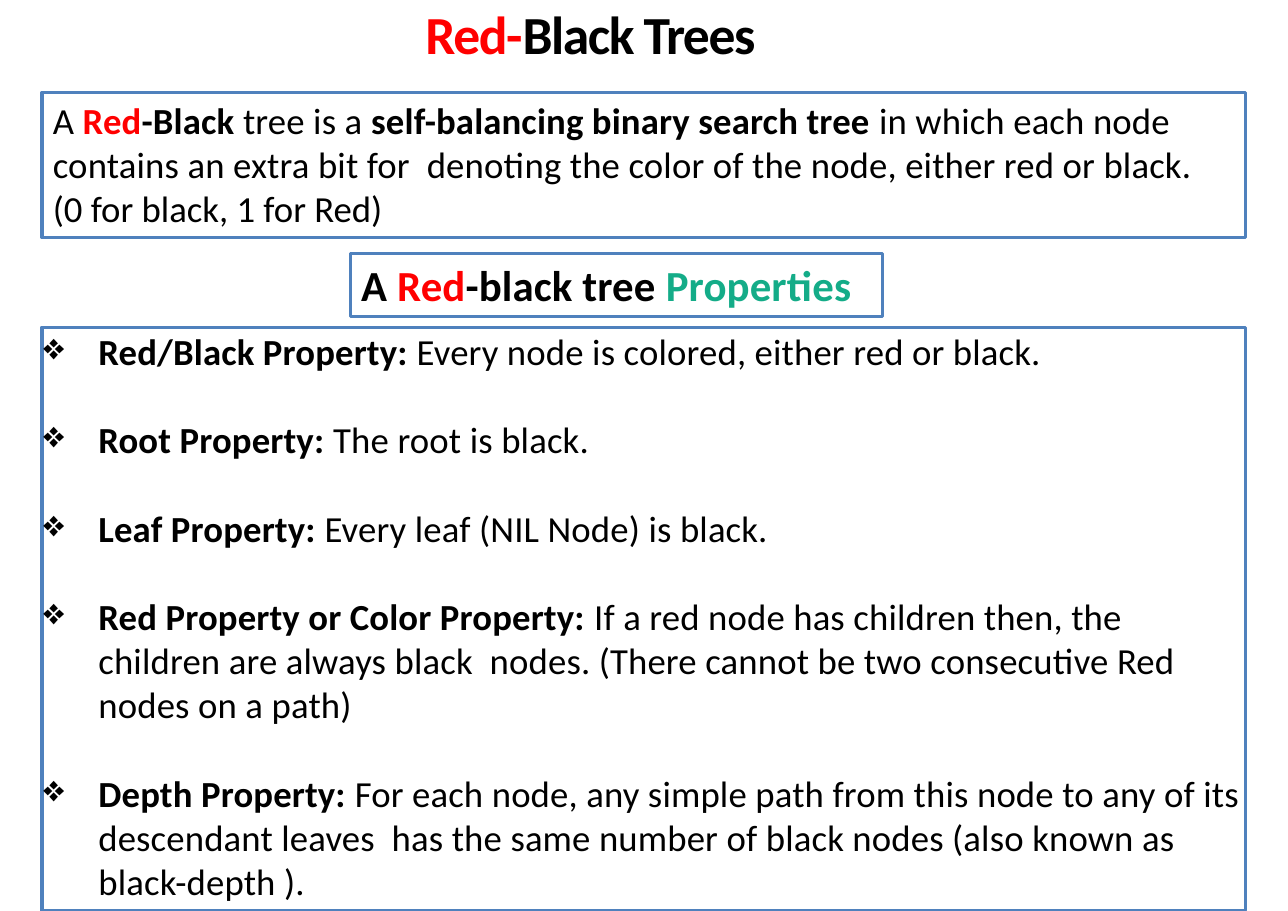
from dataclasses import dataclass

from lxml import etree
from pptx import Presentation
from pptx import util as u
from pptx.dml.color import RGBColor
from pptx.enum import shapes, text
from pptx.oxml import ns


@dataclass
class Theme:
    font: str = "Calibri"
    ink: str = "000000"
    red: str = "FF0000"
    green: str = "14AC88"
    border: str = "4F81BD"
    title: int = 35
    heading: int = 28
    body: int = 24


theme = Theme()


def add_box(left, top, width, height, inset=(0.25, 0.13), bordered=True):
    box = page.shapes.add_shape(shapes.MSO_SHAPE.RECTANGLE,
                                u.Cm(left), u.Cm(top), u.Cm(width), u.Cm(height))
    box.shadow.inherit = False
    box.fill.background()
    if bordered:
        box.line.color.rgb = RGBColor.from_string(theme.border)
        box.line.width = u.Pt(2)
    else:
        box.line.fill.background()
    frame = box.text_frame
    frame.word_wrap = True
    frame.vertical_anchor = text.MSO_ANCHOR.TOP
    frame.margin_left = frame.margin_right = u.Cm(inset[0])
    frame.margin_top = frame.margin_bottom = u.Cm(inset[1])
    return frame


def write(para, size, spans, spacing=0.1):
    """Fill a paragraph with (words, bold, colour) spans."""
    para.alignment = text.PP_ALIGN.LEFT
    para.font.name = theme.font
    para.font.size = u.Pt(size)
    for words, bold, color in spans:
        span = para.add_run()
        span.text = words
        span.font.name = theme.font
        span.font.size = u.Pt(size)
        span.font.bold = bold
        span.font.color.rgb = RGBColor.from_string(color)
        span.font._element.set("spc", str(round(spacing * 100)))


deck = Presentation()
deck.slide_width, deck.slide_height = u.Cm(29.7), u.Cm(21)
page = deck.slides.add_slide(deck.slide_layouts[6])

# Title
title = add_box(9.78, 0, 8.89, 1.52, inset=(0.03, 0.03), bordered=False)
write(title.paragraphs[0], theme.title,
      [("Red-", True, theme.red), ("Black Trees", True, theme.ink)], spacing=-0.95)

# Properties list
properties = [
    ("Red/Black Property: ", "Every node is colored, either red or black."),
    ("Root Property: ", "The root is black."),
    ("Leaf Property: ", "Every leaf (NIL Node) is black."),
    ("Red Property or Color Property: ",
     "If a red node has children then, the children are always black  nodes. "
     "(There cannot be two consecutive Red nodes on a path)"),
    ("Depth Property: ",
     "For each node, any simple path from this node to any of its descendant leaves  "
     "has the same number of black nodes (also known as black-depth )."),
]
listing = add_box(0.97, 7.54, 27.76, 13.46, inset=(0, 0.03))
for index, (name, rule) in enumerate(properties):
    para = listing.add_paragraph() if index else listing.paragraphs[0]
    write(para, theme.body, [(name, True, theme.ink), (rule, False, theme.ink)])
    para.space_before = u.Pt(29 if index else 0)
    layout = para._p.get_or_add_pPr()
    layout.set("marL", str(u.Cm(1.3)))
    layout.set("indent", str(u.Cm(-1.27)))
    bullet = etree.Element(ns.qn("a:buChar"), char="❖")
    layout.find(ns.qn("a:defRPr")).addprevious(bullet)

# Definition
definition = add_box(0.97, 2.13, 27.76, 3.35)
write(definition.paragraphs[0], theme.body, [
    ("A ", False, theme.ink),
    ("Red", True, theme.red),
    ("-Black ", True, theme.ink),
    ("tree is a ", False, theme.ink),
    ("self-balancing binary search tree ", True, theme.ink),
    ("in which each node contains an extra bit for  denoting the color of the node, "
     "either red or black.", False, theme.ink),
])
write(definition.add_paragraph(), theme.body,
      [("(0 for black, 1 for Red)", False, theme.ink)], spacing=0)

# Properties heading
heading = add_box(8.08, 5.84, 12.27, 1.45)
write(heading.paragraphs[0], theme.heading, [
    ("A ", True, theme.ink),
    ("Red", True, theme.red),
    ("-black tree ", True, theme.ink),
    ("Properties", True, theme.green),
])

deck.save("out.pptx")
